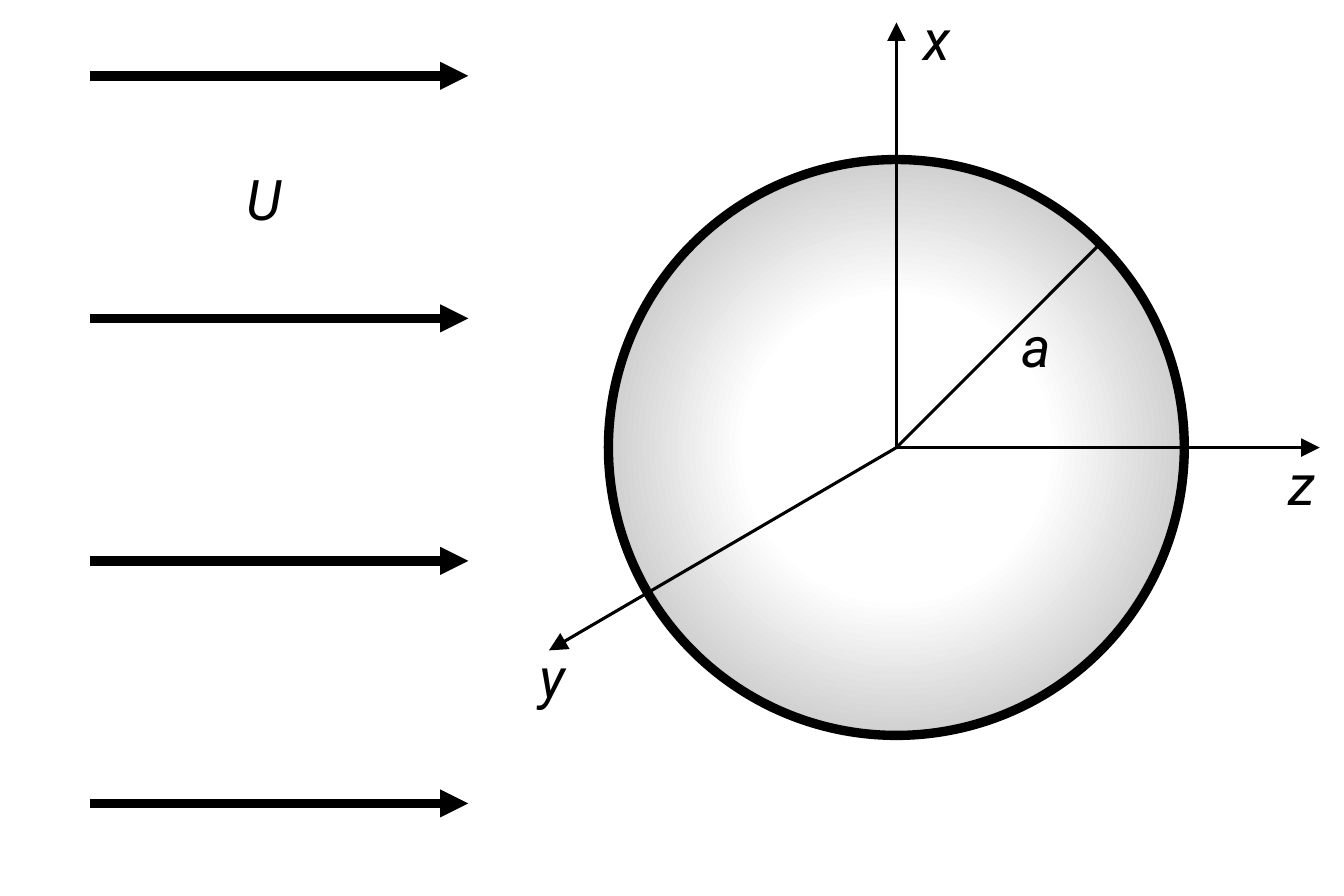
from dataclasses import dataclass
from math import sqrt

from lxml import etree
from pptx import Presentation
from pptx.dml.color import RGBColor
from pptx.enum.shapes import MSO_CONNECTOR, MSO_SHAPE
from pptx.enum.text import MSO_AUTO_SIZE, PP_ALIGN
from pptx.oxml.ns import qn
from pptx.util import Cm, Pt

STRAIGHT = MSO_CONNECTOR.STRAIGHT
OVAL = MSO_SHAPE.OVAL
RIGHT = PP_ALIGN.RIGHT
FIT = MSO_AUTO_SIZE.SHAPE_TO_FIT_TEXT


@dataclass(frozen=True)
class Theme:
    ink: RGBColor = RGBColor(0, 0, 0)
    core: RGBColor = RGBColor(255, 255, 255)
    rim: RGBColor = RGBColor(0xA5, 0xA5, 0xA5)
    font: str = "Roboto"
    size: int = 18
    thin: int = 1
    thick: int = 3


THEME = Theme()


def add_text(slide, text, x, y, *, width=0.84, height=1.02, size=THEME.size,
             color=THEME.ink, italic=True, align=RIGHT):
    box = slide.shapes.add_textbox(Cm(x), Cm(y), Cm(width), Cm(height))
    frame = box.text_frame
    frame.word_wrap = False
    frame.auto_size = FIT
    para = frame.paragraphs[0]
    para.alignment = align
    run = para.add_run()
    run.text = text
    run.font.name = THEME.font
    run.font.size = Pt(size)
    run.font.italic = italic
    run.font.color.rgb = color


def add_line(slide, start, end, width, arrow=True):
    line = slide.shapes.add_connector(
        STRAIGHT, *(Cm(value) for value in (*start, *end)))
    line.line.color.rgb = THEME.ink
    line.line.width = Pt(width)
    if arrow:
        etree.SubElement(line.line._get_or_add_ln(), qn("a:tailEnd"),
                         type="triangle")
    etree.SubElement(line._element.spPr, qn("a:effectLst"))


def shade(ball):
    """Fill the ball from a white core out to a grey rim."""
    ball.fill.gradient()
    tones = ((0.37, THEME.core), (1, THEME.rim))
    for stop, (place, color) in zip(ball.fill.gradient_stops, tones):
        stop.position = place
        stop.color.rgb = color
    grad = ball._element.spPr.find(qn("a:gradFill"))
    linear = grad.find(qn("a:lin"))
    round_way = etree.Element(qn("a:path"), path="circle")
    etree.SubElement(round_way, qn("a:fillToRect"),
                     l="50000", t="50000", r="50000", b="50000")
    grad.replace(linear, round_way)


def draw_flow(slide, left, top, width, height, count=4):
    # Evenly spaced stream arrows
    for row in range(count):
        y = top + row * height / (count - 1)
        add_line(slide, (left, y), (left + width, y), THEME.thick)
    # Stream speed
    add_text(slide, "U", left + 1.52, top + 0.88, width=0.91)


def draw_sphere(slide, left, top, size):
    radius = size / 2
    mid_x, mid_y = left + radius, top + radius

    # Ball
    ball = slide.shapes.add_shape(OVAL, Cm(left), Cm(top), Cm(size), Cm(size))
    ball.shadow.inherit = False
    ball.line.color.rgb = THEME.ink
    ball.line.width = Pt(THEME.thick)
    shade(ball)

    # Axes and radius: name, end and label offsets from the centre, arrow
    slant = radius / sqrt(2)
    rays = (
        ("x", (0, -4.82), (0.02, -5.15), True),
        ("z", (4.8, 0), (4.16, -0.1), True),
        ("y", (-3.94, 2.3), (-4.35, 2.09), True),
        ("a", (slant, -slant), (1.16, -1.67), False),
    )
    for name, (dx, dy), (tx, ty), arrow in rays:
        add_line(slide, (mid_x, mid_y), (mid_x + dx, mid_y + dy),
                 THEME.thin, arrow)
        add_text(slide, name, mid_x + tx, mid_y + ty)


def main():
    deck = Presentation()
    deck.slide_width, deck.slide_height = Cm(15.24), Cm(10.16)
    slide = deck.slides.add_slide(deck.slide_layouts[6])
    draw_flow(slide, 1.02, 0.86, 4.29, 8.25)
    draw_sphere(slide, 6.9, 1.81, 6.53)
    deck.save("out.pptx")


if __name__ == "__main__":
    main()
